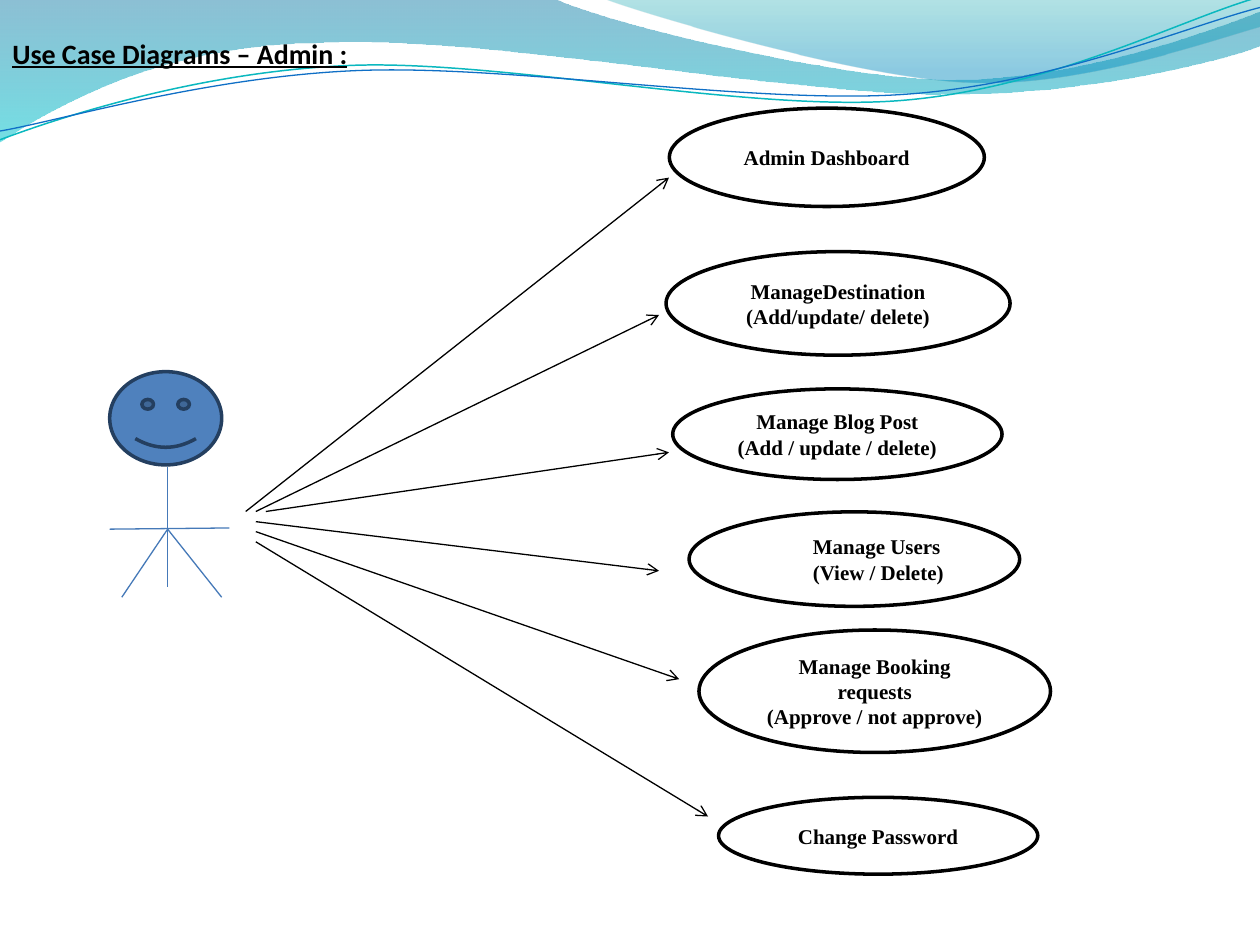
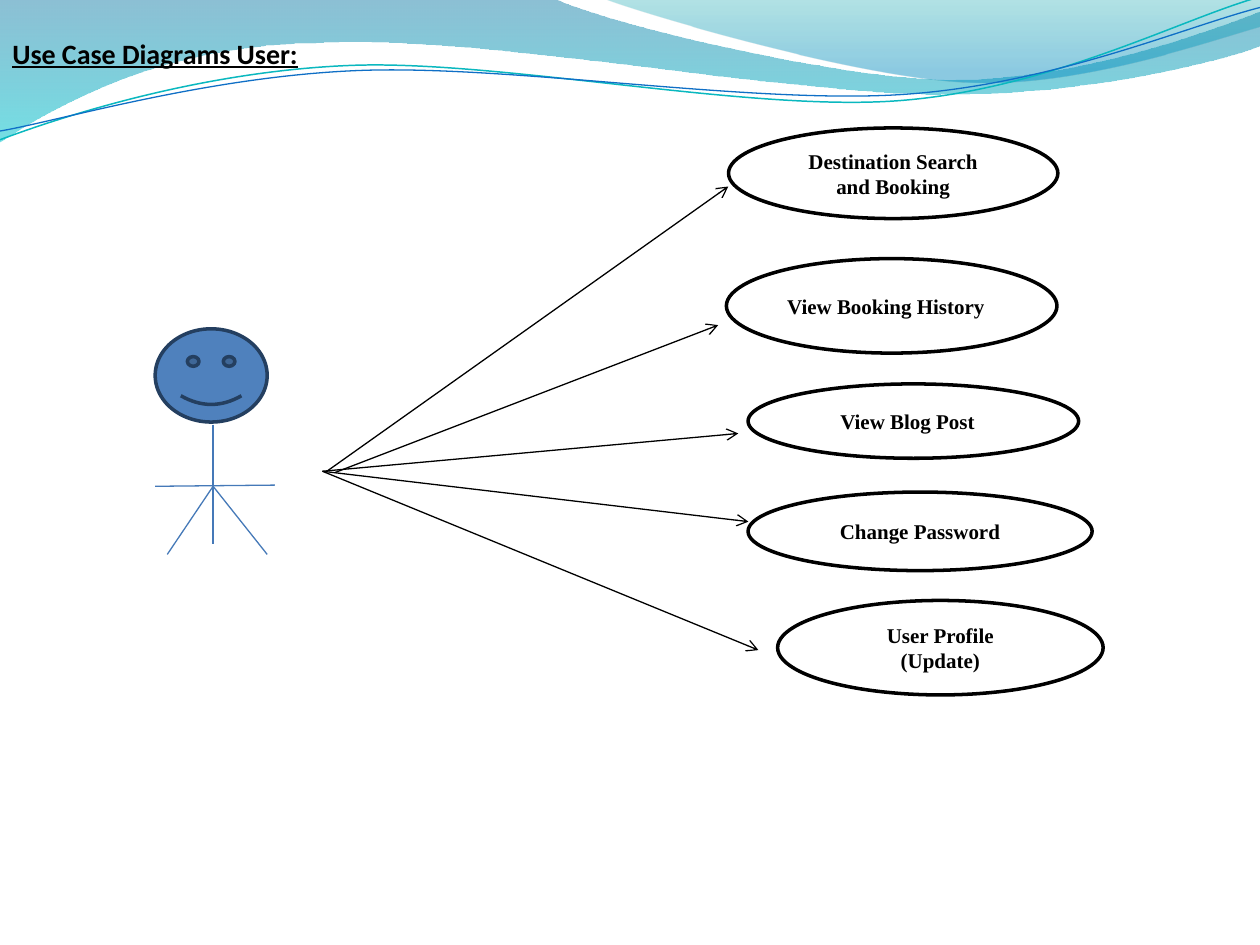
from lxml import etree
from pptx import Presentation
from pptx.dml.color import RGBColor
from pptx.enum.shapes import MSO_CONNECTOR, MSO_SHAPE
from pptx.enum.text import MSO_ANCHOR, PP_ALIGN
from pptx.oxml.ns import qn
from pptx.util import Pt

STRAIGHT = MSO_CONNECTOR.STRAIGHT
OVAL, SMILEY = MSO_SHAPE.OVAL, MSO_SHAPE.SMILEY_FACE
MIDDLE = MSO_ANCHOR.MIDDLE
CENTER, LEFT = PP_ALIGN.CENTER, PP_ALIGN.LEFT

COLORS = {
    "ink": "000000", "paper": "FFFFFF",
    "face": "4F81BD", "face_line": "243F60", "limb": "4579B8",
    "teal_line": "0AB8BF", "blue_line": "0F6FC6",
    "deep_blue": "0074A1", "aqua": "00C6CF",
    "sea_green": "00A1A9", "sky_blue": "008BBF",
}
TITLE_FONT, CASE_FONT = "Calibri", "Times New Roman"
LINE_WAVE_TILT = 357.3

FILLED_WAVES = [
    ([(0, -0.7), (316.8, -0.7), (342.7, 12.2, 478.1, 45.4, 545.8, 45.4),
      (614.2, 45.4, 689.8, 18.7, 720, 6.5), (720.7, 25.9),
      (707.8, 31.7, 626.4, 54.7, 537.1, 54), (447.8, 54, 275, 20.2, 185, 24.5),
      (92.9, 25.2, 33.1, 59.8, -0.7, 81.4)],
     [(0, "deep_blue", 45), (1, "aqua", 55)]),
    ([(344.9, -0.7), (366.5, 7.9, 491, 44.6, 553.7, 46.8),
      (616.3, 49.7, 691.9, 23, 720, 15.1), (720, 0)],
     [(0, "sea_green", 30), (0.8, "sky_blue", 45)]),
]
LINE_WAVES = [
    ([(-1.4, 62.9), (33.7, 51.6, 114, 29.4, 199.8, 29.9),
      (284.8, 30.3, 425.8, 67.2, 512.4, 64.8),
      (599, 62.4, 676.4, 25.7, 720.2, 15.6)], "teal_line", 0.85),
    ([(-1.2, 57.9), (33, 53.7, 118.3, 32.5, 204, 33),
      (290.5, 33.4, 429, 63.1, 515.5, 61.3),
      (601.4, 59.6, 678.5, 30.1, 721.4, 21.3)], "blue_line", 0.75),
]

DIAGRAMS = [
    {"title": "Use Case Diagrams – Admin :", "actor": (62.7, 212.4), "cases": [
        ((382.5, 61.8, 180, 56.2), ["Admin Dashboard"], CENTER, 0),
        ((380.6, 143.8, 196.6, 59.2), ["ManageDestination", "(Add/update/ delete)"], CENTER, 0),
        ((384.4, 222.2, 188.2, 51.8), ["Manage Blog Post", "(Add / update / delete)"], CENTER, 0),
        ((393.8, 292.5, 188.9, 54), ["Manage Users", "(View / Delete)"], LEFT, 36),
        ((399.4, 360, 200.9, 70), ["Manage Booking requests", "(Approve / not approve)"], CENTER, 0),
        ((410.6, 455.6, 182.4, 43.9), ["Change Password"], CENTER, 0),
    ], "arrows": [
        (140.4, 292.3, 382.3, 101.5), (146.2, 292.3, 376.6, 180),
        (151.9, 292.3, 382.3, 258.5), (146.2, 298.1, 376.6, 326.2),
        (146.2, 303.8, 388.1, 388.1), (146.2, 309.6, 404.6, 466.6),
    ]},
    {"title": "Use Case Diagrams User:", "actor": (88.7, 187.9), "cases": [
        ((416.3, 73.1, 188.2, 51.8), ["Destination Search and Booking"], CENTER, 0),
        ((415.1, 147.8, 188.9, 54), ["View Booking History"], LEFT, 0),
        ((427.5, 219.4, 188.9, 42.5), ["View Blog Post"], LEFT, 18),
        ((427.5, 281.2, 196.6, 44.9), ["Change Password"], CENTER, 0),
        ((444.4, 343.1, 186, 54), ["User Profile", "(Update)"], CENTER, 0),
    ], "arrows": [
        (185.8, 270, 416.2, 106.6), (191.5, 270, 410.4, 185.8),
        (184.3, 269.3, 421.9, 247.7), (184.3, 269.3, 427.7, 298.1),
        (184.3, 269.3, 433.4, 371.5),
    ]},
]


def color(name):
    """Return the named colour."""
    return RGBColor.from_string(COLORS[name])


def style_line(shape, name, width):
    """Give a shape or connector a solid line."""
    shape.line.color.rgb = color(name)
    shape.line.width = Pt(width)


def add_run(paragraph, text, font, size):
    """Add one bold black run and return it."""
    run = paragraph.add_run()
    run.text = text
    run.font.name, run.font.size, run.font.bold = font, Pt(size), True
    run.font.color.rgb = color("ink")
    return run


def add_wave(shapes, left, top, segments, close):
    """Add an outline of straight and cubic segments from the given corner."""
    points = [(Pt(left + x), Pt(top + y)) for segment in segments
              for x, y in zip(segment[::2], segment[1::2])]
    builder = shapes.build_freeform(*points[0])
    builder.add_line_segments(points[1:], close=close)
    shape = builder.convert_to_shape()
    shape.shadow.inherit = False
    outline = next(shape._element.iter(qn("a:path")))
    corners = iter(list(outline)[1:])
    for segment in segments[1:]:
        corner = next(corners)
        if len(segment) == 6:
            curve = etree.Element(qn("a:cubicBezTo"))
            corner.addprevious(curve)
            for control in (corner, next(corners), next(corners)):
                curve.append(control[0])
                outline.remove(control)
    return shape


def add_waves(slide, left, top):
    """Add the band of waves at the head of the slide."""
    for segments, stops in FILLED_WAVES:
        shape = add_wave(slide.shapes, left, top, segments, True)
        shape.line.fill.background()
        shape.fill.gradient()
        shape.fill.gradient_angle = 270
        for gradient_stop, (position, name, _) in zip(shape.fill.gradient_stops, stops):
            gradient_stop.position = position
            gradient_stop.color.rgb = color(name)
        for element, (_, _, opacity) in zip(shape._element.iter(qn("a:srgbClr")), stops):
            etree.SubElement(element, qn("a:alpha")).set("val", str(opacity * 1000))
    group = slide.shapes.add_group_shape()
    for segments, name, width in LINE_WAVES:
        shape = add_wave(group.shapes, left, top, segments, False)
        shape.rotation = LINE_WAVE_TILT
        shape.fill.background()
        style_line(shape, name, width)


def add_title(slide, left, top, width, height, text):
    """Add the underlined slide title."""
    frame = slide.shapes.add_textbox(Pt(left), Pt(top), Pt(width), Pt(height)).text_frame
    frame.word_wrap = True
    frame.vertical_anchor = MIDDLE
    frame.margin_bottom = Pt(8.6)
    add_run(frame.paragraphs[0], text, TITLE_FONT, 16).font.underline = True


def add_line(slide, start_x, start_y, end_x, end_y, name):
    """Add a thin straight line and return it."""
    connector = slide.shapes.add_connector(
        STRAIGHT, Pt(start_x), Pt(start_y), Pt(end_x), Pt(end_y))
    style_line(connector, name, 0.75)
    etree.SubElement(connector._element.spPr, qn("a:effectLst"))
    return connector


def add_arrow(slide, start_x, start_y, end_x, end_y):
    """Add a black line with an open arrowhead at its end."""
    connector = add_line(slide, start_x, start_y, end_x, end_y, "ink")
    etree.SubElement(connector.line._get_or_add_ln(), qn("a:tailEnd")).set("type", "arrow")


def add_actor(slide, left, top):
    """Add the stick figure from the corner of its head."""
    head = slide.shapes.add_shape(SMILEY, Pt(left), Pt(top), Pt(64), Pt(53.3))
    head.shadow.inherit = False
    head.fill.solid()
    head.fill.fore_color.rgb = color("face")
    style_line(head, "face_line", 2)
    spine, hip = 33.1, 90
    limbs = [(spine, 54.7, spine, 123.1), (0, hip, 68.4, 89.3),
             (spine, hip, 6.9, 128.9), (spine, hip, 64, 128.9)]
    for start_x, start_y, end_x, end_y in limbs:
        add_line(slide, left + start_x, top + start_y, left + end_x, top + end_y, "limb")


def add_use_case(slide, box, lines, alignment, indent):
    """Add one use case ellipse with its label."""
    shape = slide.shapes.add_shape(OVAL, *map(Pt, box))
    shape.shadow.inherit = False
    shape.fill.solid()
    shape.fill.fore_color.rgb = color("paper")
    style_line(shape, "ink", 2)
    frame = shape.text_frame
    frame.word_wrap = True
    frame.vertical_anchor = MIDDLE
    for index, line in enumerate(lines):
        paragraph = frame.add_paragraph() if index else frame.paragraphs[0]
        paragraph.alignment = alignment
        if indent:
            paragraph._p.get_or_add_pPr().set("marL", str(Pt(indent)))
        add_run(paragraph, line, CASE_FONT, 12)


def add_diagram_slide(presentation, diagram):
    """Add a slide with an actor, its use cases and the arrows between."""
    slide = presentation.slides.add_slide(presentation.slide_layouts[6])
    add_waves(slide, 0, 0)
    add_title(slide, 0, 0, 236, 65.5, diagram["title"])
    add_actor(slide, *diagram["actor"])
    for case in diagram["cases"]:
        add_use_case(slide, *case)
    for arrow in diagram["arrows"]:
        add_arrow(slide, *arrow)


def main():
    """Build the presentation and save it."""
    presentation = Presentation()
    presentation.slide_width, presentation.slide_height = Pt(720), Pt(540)
    for diagram in DIAGRAMS:
        add_diagram_slide(presentation, diagram)
    presentation.save("out.pptx")


if __name__ == "__main__":
    main()
